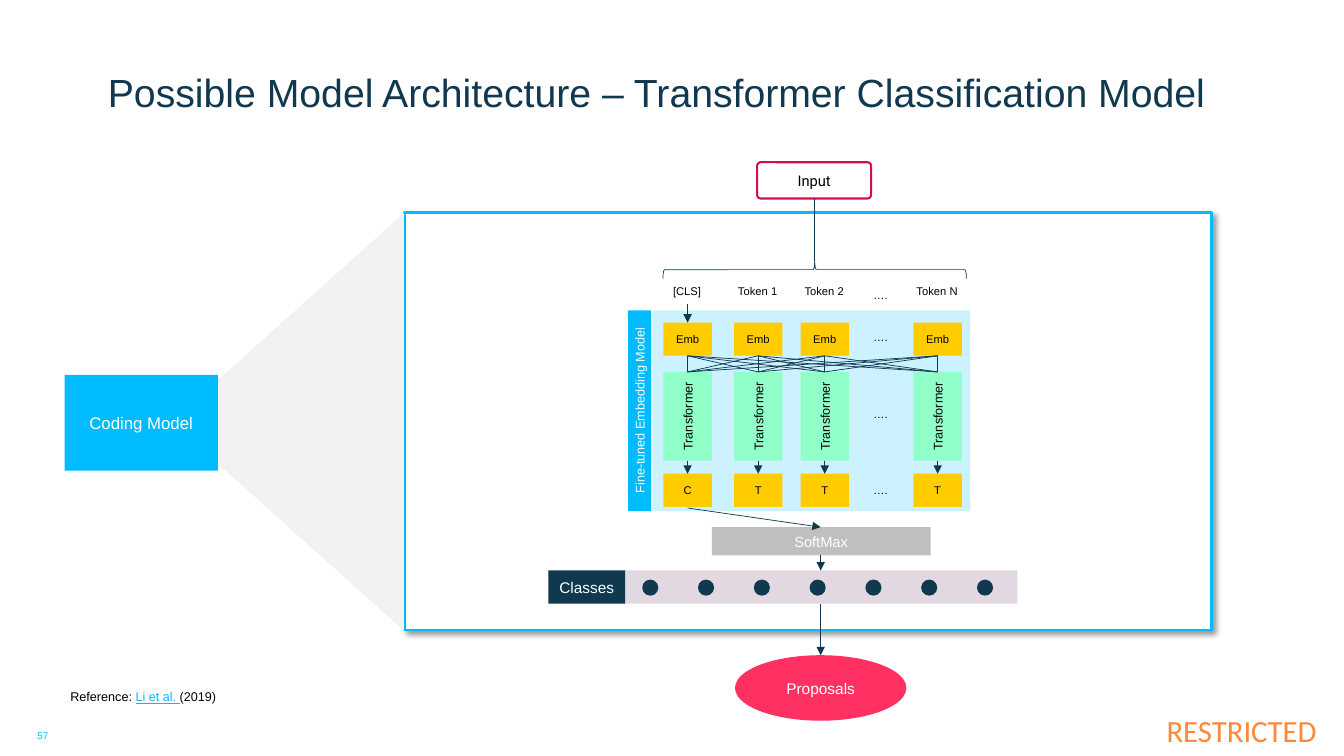
from itertools import product
from lxml import etree
from pptx import Presentation
from pptx.dml.color import RGBColor
from pptx.enum import shapes, text
from pptx.oxml import ns
from pptx.util import Inches, Pt

NAVY, BLUE, GOLD, MINT = "10384F", "00BCFF", "FFCC00", "91FFC8"
WHITE, BLACK = "FFFFFF", "000000"
KIND, ALIGN, ANCHOR = shapes.MSO_SHAPE, text.PP_ALIGN, text.MSO_ANCHOR
hue = RGBColor.from_string

deck = Presentation()
deck.slide_width, deck.slide_height = Inches(13.33), Inches(7.5)
slide = deck.slides.add_slide(deck.slide_layouts[5])


def write(shape, words, size=8, color=BLACK, font="Arial", align=ALIGN.CENTER,
          anchor=ANCHOR.MIDDLE, pad=0, vert=False):
    """Fill a shape with one formatted paragraph."""
    frame = shape.text_frame
    frame.word_wrap = True
    frame.auto_size = text.MSO_AUTO_SIZE.NONE
    frame.vertical_anchor = anchor
    frame.margin_left = frame.margin_right = Inches(pad)
    frame.margin_top = frame.margin_bottom = 0
    if vert:
        shape.element.txBody.bodyPr.set("vert", "vert270")
    para = frame.paragraphs[0]
    para.alignment = align
    run = para.add_run()
    run.text = words
    run.font.size, run.font.name = Pt(size), font
    run.font.color.rgb = hue(color)


def box(kind, x, y, w, h, fill=None, line=None, width=1, words=None, **style):
    """Add a preset shape, or a text box when kind is None."""
    place = [Inches(n) for n in (x, y, w, h)]
    if kind is None:
        shape = slide.shapes.add_textbox(*place)
    else:
        shape = slide.shapes.add_shape(kind, *place)
        shape.shadow.inherit = False
        if fill:
            shape.fill.solid()
            shape.fill.fore_color.rgb = hue(fill)
        else:
            shape.fill.background()
        if line:
            shape.line.color.rgb = hue(line)
            shape.line.width = Pt(width)
        else:
            shape.line.fill.background()
    if words:
        write(shape, words, **style)
    return shape


# Title
title = slide.shapes.title
title.left, title.top = Inches(1.07), Inches(0.2)
title.width, title.height = Inches(11.81), Inches(0.94)
write(title, "Possible Model Architecture – Transformer Classification Model",
      size=28, color=NAVY, align=ALIGN.LEFT, anchor=ANCHOR.BOTTOM)

# Frame with its shadow
frame = box(KIND.RECTANGLE, 4.01, 2.11, 8.01, 4.14, WHITE, BLUE, 2)
glow = frame.element.spPr.find(ns.qn("a:effectLst"))
cast = etree.SubElement(glow, ns.qn("a:outerShdw"), blurRad=str(Pt(4)),
                        dist=str(Pt(3)), dir="2700000", algn="tl", rotWithShape="0")
tint = etree.SubElement(cast, ns.qn("a:srgbClr"), val=BLACK)
etree.SubElement(tint, ns.qn("a:alpha"), val="40000")

# Coding model, widening into the frame
cone = box(KIND.TRAPEZOID, 1.01, 3.26, 4.14, 1.85, "F2F2F2")
cone.adjustments[0] = 0.898
cone.rotation = 270
box(KIND.RECTANGLE, 0.64, 3.72, 1.52, 0.95, BLUE,
    words="Coding Model", size=12, color=WHITE)

# Input and brace
entry = box(KIND.ROUNDED_RECTANGLE, 7.51, 1.61, 1.13, 0.36, None, "D30F4B", 1.5,
            words="Input", size=10.5, font="Roboto")
entry.adjustments[0] = 0.098
brace = box(KIND.LEFT_BRACE, 7.99, 1.17, 0.18, 3.01, None, NAVY, 0.5)
brace.rotation = 90

# Embedding model: one column per token
box(KIND.RECTANGLE, 6.47, 3.08, 3.15, 1.99, "CCF2FF")
box(KIND.RECTANGLE, 6.23, 3.08, 0.23, 1.99, BLUE,
    words="Fine-tuned Embedding Model", size=9, color=WHITE, vert=True)
mids = [6.82, 7.52, 8.18, 9.3]
heads = ["[CLS]", "Token 1", "Token 2", "Token N"]
for mid, head, out in zip(mids, heads, "CTTT"):
    left = mid - 0.24
    box(None, mid - 0.32, 2.76, 0.63, 0.26, words=head)
    box(KIND.RECTANGLE, left, 3.2, 0.48, 0.33, GOLD, words="Emb")
    box(KIND.RECTANGLE, left, 3.69, 0.48, 0.88, MINT,
        words="Transformer", size=9, vert=True)
    box(KIND.RECTANGLE, left, 4.7, 0.48, 0.33, GOLD, words=out)
for top in (2.76, 3.18, 3.94, 4.7):
    box(None, 8.42, top, 0.63, 0.33, words="….")

# SoftMax, classes and proposals
box(KIND.RECTANGLE, 7.06, 5.23, 2.17, 0.28, "BFBFBF",
    words="SoftMax", size=10.5, color=WHITE)
box(KIND.RECTANGLE, 6.19, 5.66, 3.9, 0.33, "E2D8E2")
box(KIND.RECTANGLE, 5.44, 5.66, 0.76, 0.33, NAVY,
    words="Classes", size=11, color=WHITE)
for step in range(7):
    box(KIND.OVAL, 6.37 + step * 3.32 / 6, 5.75, 0.16, 0.16, NAVY)
box(KIND.OVAL, 7.29, 6.5, 1.7, 0.65, "FF3162",
    words="Proposals", size=11, color=WHITE)

# Lines (x1, y1, x2, y2, arrow): every Emb feeds every Transformer
lines = [(a, 3.53, b, 3.69, False) for a, b in product(mids, mids)]
lines += [(mid, 4.57, mid, 4.7, True) for mid in mids]
lines += [
    (8.08, 1.97, 8.08, 2.59, False),
    (6.82, 3.02, 6.82, 3.2, True),
    (6.82, 5.04, 8.14, 5.23, True),
    (8.14, 5.51, 8.14, 5.66, True),
    (8.14, 5.99, 8.14, 6.5, True),
]
for *ends, arrow in lines:
    link = slide.shapes.add_connector(shapes.MSO_CONNECTOR.STRAIGHT,
                                      *[Inches(n) for n in ends])
    link.line.color.rgb = hue(NAVY)
    link.line.width = Pt(0.5)
    props = link.element.spPr
    if arrow:
        etree.SubElement(props.find(ns.qn("a:ln")), ns.qn("a:tailEnd"), type="triangle")
    etree.SubElement(props, ns.qn("a:effectLst"))

# Reference and footer
note = box(None, 0.6, 6.67, 3.26, 0.48, words="Reference: ",
           size=9, align=ALIGN.LEFT, pad=0.1)
for words, color, under in (("Li et al. ", BLUE, True), ("(2019)", BLACK, False)):
    run = note.text_frame.paragraphs[0].add_run()
    run.text = words
    run.font.size, run.font.name = Pt(9), "Arial"
    run.font.color.rgb = hue(color)
    run.font.underline = under
box(None, 0.21, 7.24, 0.43, 0.12, words="57", size=7, color=BLUE, anchor=ANCHOR.TOP)
box(None, 11.1, 6.99, 2.05, 0.51, words="RESTRICTED", size=22, color="FF8939",
    font="Calibri", align=ALIGN.RIGHT).left = Inches(11.28) - Inches(0.27)

deck.save("out.pptx")
